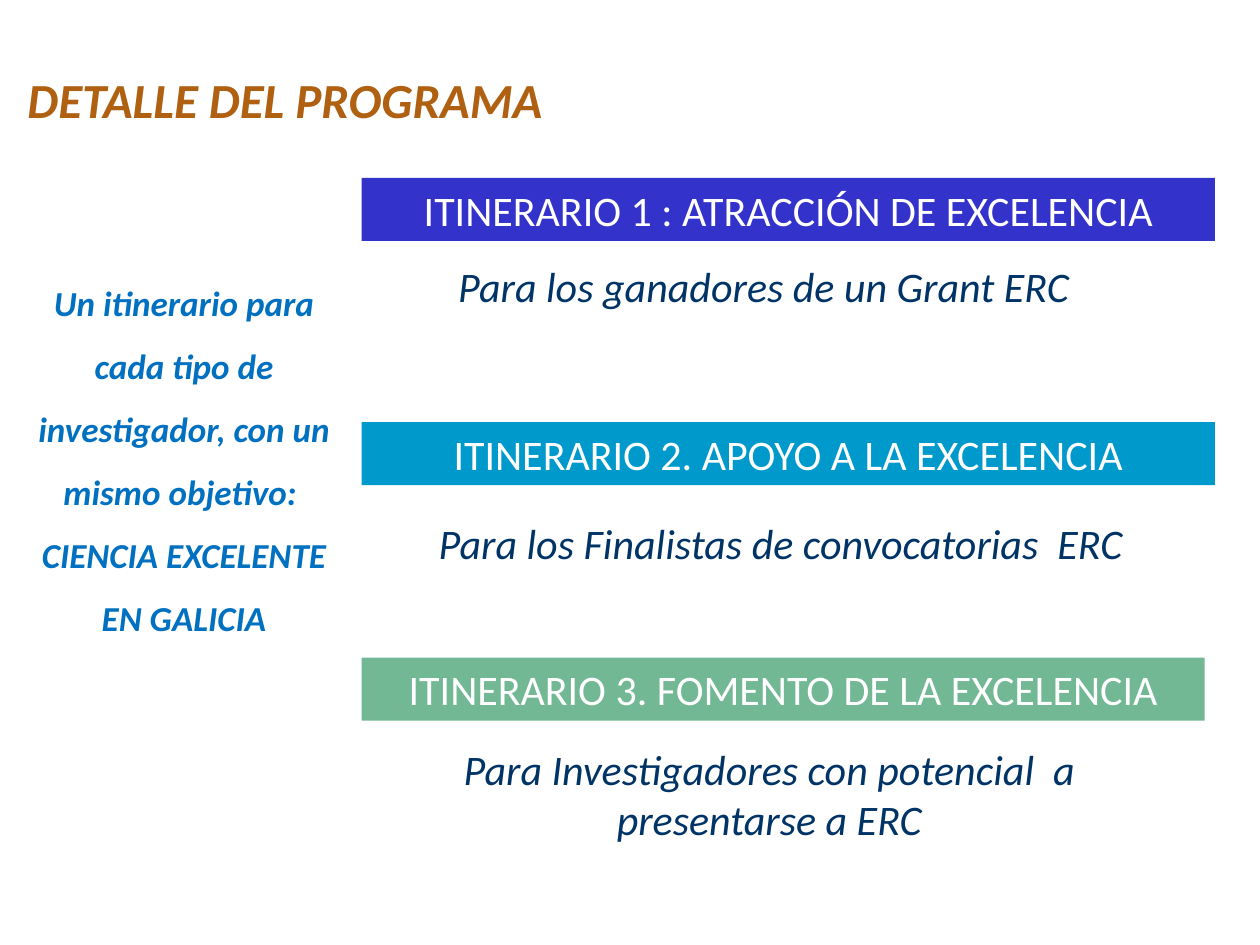
"""Build the programme detail slide with its three itineraries."""
from dataclasses import dataclass

from lxml import etree
from pptx import Presentation
from pptx.dml.color import RGBColor
from pptx.enum import shapes, text
from pptx.oxml import ns
from pptx.util import Pt


@dataclass
class Area:
    left: float
    top: float
    width: float
    height: float

    def lengths(self) -> tuple:
        return Pt(self.left), Pt(self.top), Pt(self.width), Pt(self.height)


@dataclass
class Style:
    size: float
    color: str
    bold: bool = False
    italic: bool = False
    spacing: float = 1.0
    align: text.PP_ALIGN = text.PP_ALIGN.CENTER


@dataclass
class Itinerary:
    heading: str
    bar: Area
    fill: str
    audience: str
    note: Area
    opacity: int = 100


HEADING = Style(24, "FFFFFF")
AUDIENCE = Style(24, "003366", italic=True)
SUMMARY = Style(20, "0070C0", bold=True, italic=True, spacing=1.5)
TITLE = Style(28, "AF6011", bold=True, italic=True, spacing=1.5,
              align=text.PP_ALIGN.LEFT)
BAR_LEFT, BAR_HEIGHT = 206.7, 36

ITINERARIES = [
    Itinerary("ITINERARIO 1 : ATRACCIÓN DE EXCELENCIA",
              Area(BAR_LEFT, 101.7, 487.5, BAR_HEIGHT), "3333CC",
              "Para los ganadores de un Grant ERC",
              Area(252, 145.4, 368.6, 36)),
    Itinerary("ITINERARIO 2. APOYO A LA EXCELENCIA",
              Area(BAR_LEFT, 241.2, 487.5, BAR_HEIGHT), "0099CC",
              "Para los Finalistas de convocatorias  ERC",
              Area(239, 292.4, 414, 36)),
    Itinerary("ITINERARIO 3. FOMENTO DE LA EXCELENCIA",
              Area(BAR_LEFT, 375.8, 481.7, BAR_HEIGHT), "339966",
              "Para Investigadores con potencial  a presentarse a ERC",
              Area(241.2, 421.2, 396.7, 64.8), opacity=69),
]


def rgb(value: str) -> RGBColor:
    return RGBColor.from_string(value)


def write(shape, lines: list[str], style: Style) -> None:
    frame = shape.text_frame
    frame.text = "\n".join(lines)
    frame.word_wrap = True
    frame.auto_size = text.MSO_AUTO_SIZE.SHAPE_TO_FIT_TEXT
    frame.vertical_anchor = text.MSO_ANCHOR.TOP
    for para in frame.paragraphs:
        para.alignment = style.align
        para.line_spacing = style.spacing
        para.space_before = Pt(0)
        for span in para.runs:
            span.font.name = "Calibri"
            span.font.size = Pt(style.size)
            span.font.bold = style.bold
            span.font.italic = style.italic
            span.font.color.rgb = rgb(style.color)


def add_text(page, area: Area, lines: list[str], style: Style) -> None:
    write(page.shapes.add_textbox(*area.lengths()), lines, style)


def add_bar(page, item: Itinerary) -> None:
    bar = page.shapes.add_shape(shapes.MSO_SHAPE.RECTANGLE, *item.bar.lengths())
    bar.shadow.inherit = False
    bar.fill.solid()
    bar.fill.fore_color.rgb = rgb(item.fill)
    bar.line.fill.background()
    if item.opacity < 100:
        color = bar.fill._xPr.find(".//" + ns.qn("a:srgbClr"))
        etree.SubElement(color, ns.qn("a:alpha"), val=str(item.opacity * 1000))
    write(bar, [item.heading], HEADING)


def main() -> None:
    deck = Presentation()
    deck.slide_width, deck.slide_height = Pt(720), Pt(540)
    page = deck.slides.add_slide(deck.slide_layouts.get_by_name("Title Only"))

    title = page.shapes.title
    title.left, title.top, title.width, title.height = Area(
        8.5, 19.4, 329, 57.6).lengths()
    write(title, ["DETALLE DEL PROGRAMA"], TITLE)

    add_text(page, Area(14.4, 145.4, 181.5, 223.2),
             ["Un itinerario para cada tipo de investigador, con un mismo objetivo: ",
              "CIENCIA EXCELENTE EN GALICIA"], SUMMARY)
    for item in ITINERARIES:
        add_bar(page, item)
        add_text(page, item.note, [item.audience], AUDIENCE)
    deck.save("out.pptx")


if __name__ == "__main__":
    main()
